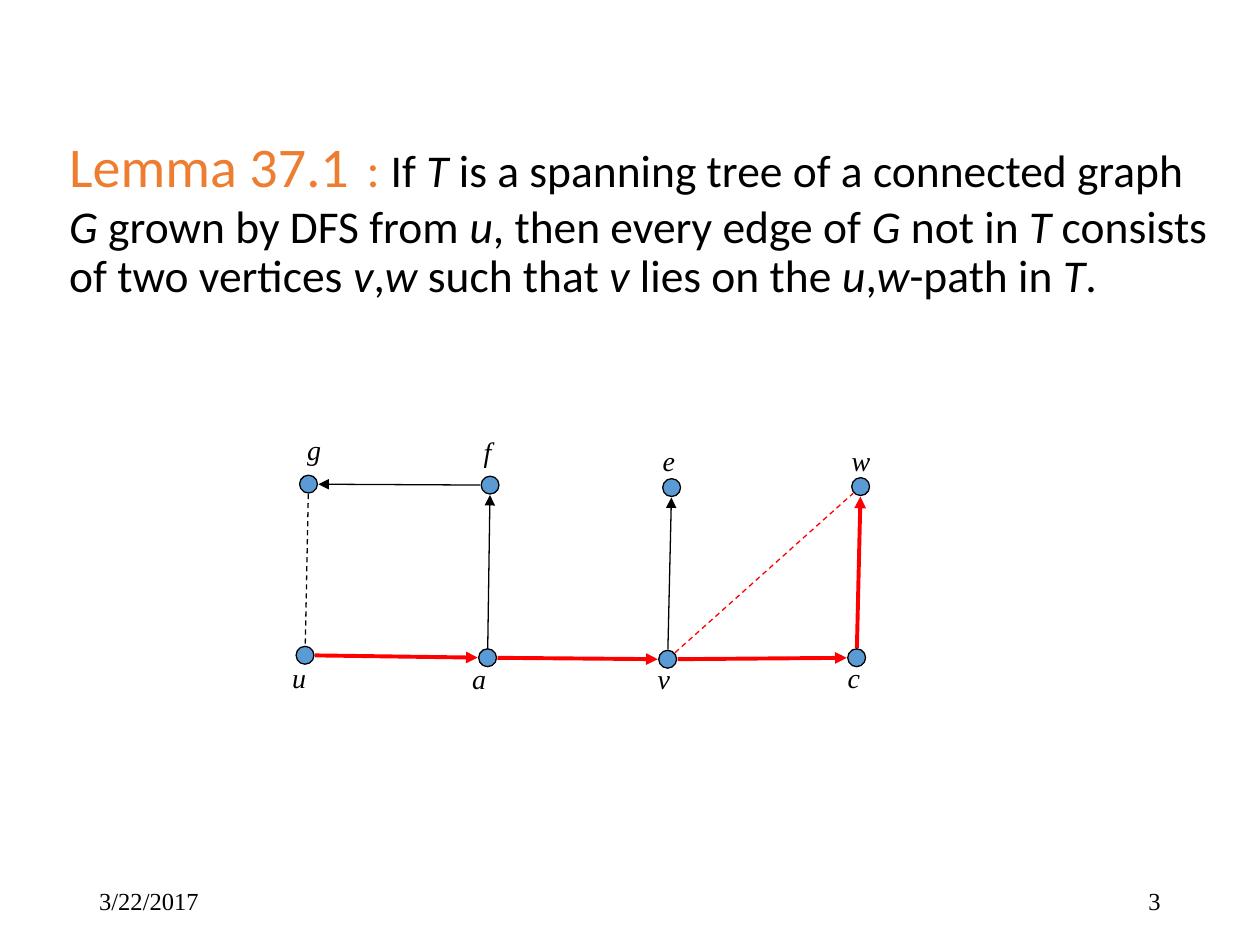
import math

import pptx
import pptx.dml.color
import pptx.enum.dml
import pptx.enum.shapes
import pptx.enum.text
import pptx.oxml
import pptx.oxml.ns
import pptx.util

Cm = pptx.util.Cm
Pt = pptx.util.Pt
ALIGN = pptx.enum.text.PP_ALIGN
ANCHOR = pptx.enum.text.MSO_ANCHOR

BLACK = pptx.dml.color.RGBColor(0x00, 0x00, 0x00)
RED = pptx.dml.color.RGBColor(0xFF, 0x00, 0x00)
BLUE = pptx.dml.color.RGBColor(0x5B, 0x9B, 0xD5)
ORANGE = pptx.dml.color.RGBColor(0xED, 0x7D, 0x31)

NODE_SIZE = 0.36
EDGE_GAP = 0.2
LABEL_WIDTH, LABEL_HEIGHT = 0.89, 0.94

LEMMA_HEADING = [("Lemma 37.1", 32), (" ", 44), (": ", 28)]
LEMMA_STATEMENT = [
    "If ", "T", " is a spanning tree of a connected graph ", "G",
    " grown by DFS from ", "u", ", then every edge of ", "G", " not in ", "T",
    " consists of two vertices ", "v", ",", "w", " such that ", "v",
    " lies on the ", "u", ",", "w", "-path in ", "T", ".",
]

VERTICES = {
    "u": ((0.51, 4.62), (0, 4.6)),
    "a": ((4.19, 4.67), (3.63, 4.62)),
    "v": ((7.82, 4.7), (7.37, 4.62)),
    "c": ((11.63, 4.67), (11.2, 4.6)),
    "g": ((0.58, 1.17), (0.3, 0)),
    "f": ((4.24, 1.19), (3.86, 0.05)),
    "e": ((7.9, 1.24), (7.47, 0.23)),
    "w": ((11.71, 1.22), (11.28, 0.23)),
}
TREE_EDGES = ["af", "fg", "ve"]
PATH_EDGES = ["ua", "av", "vc", "cw"]
NON_TREE_EDGES = [("gu", BLACK), ("vw", RED)]


def add_run(paragraph, words, font_name, size, color, italic=False):
    """Append one formatted run to a paragraph."""
    run = paragraph.add_run()
    run.text = words
    run.font.name = font_name
    run.font.size = Pt(size)
    run.font.color.rgb = color
    run.font.italic = italic


def add_text(slide, box, words, size, italic=False, align=ALIGN.LEFT, anchor=ANCHOR.TOP):
    """Add a one-line serif text box at a box given in centimetres."""
    frame = slide.shapes.add_textbox(*map(Cm, box)).text_frame
    frame.word_wrap = True
    frame.vertical_anchor = anchor
    frame.paragraphs[0].alignment = align
    add_run(frame.paragraphs[0], words, "Times New Roman", size, BLACK, italic)


def fill_lemma(title, box):
    """Place the title and write the lemma with its variables in italics."""
    title.left, title.top, title.width, title.height = map(Cm, box)
    frame = title.text_frame
    frame.word_wrap = True
    frame.auto_size = pptx.enum.text.MSO_AUTO_SIZE.NONE
    frame.vertical_anchor = ANCHOR.MIDDLE
    statement = frame.paragraphs[0]
    statement.alignment = ALIGN.LEFT
    statement.line_spacing = 0.9
    for words, size in LEMMA_HEADING:
        add_run(statement, words, "Calibri", size, ORANGE)
    for words in LEMMA_STATEMENT:
        add_run(statement, words, "Calibri", 26, BLACK, italic=words.isalpha())


def add_edge(slide, start, end, color, width, dashed=False):
    """Draw an edge between two vertex centres: an arrow, or a dashed line."""
    length = math.dist(start, end)
    dx, dy = ((b - a) / length * EDGE_GAP for a, b in zip(start, end))
    ends = (start[0] + dx, start[1] + dy, end[0] - dx, end[1] - dy)
    edge = slide.shapes.add_connector(
        pptx.enum.shapes.MSO_CONNECTOR.STRAIGHT, *map(Cm, ends))
    edge.line.color.rgb = color
    edge.line.width = Pt(width)
    if dashed:
        edge.line.dash_style = pptx.enum.dml.MSO_LINE.DASH
    else:
        arrowhead = pptx.oxml.parse_xml(
            f'<a:tailEnd {pptx.oxml.ns.nsdecls("a")} type="triangle"/>')
        edge.line._get_or_add_ln().append(arrowhead)
    edge._element.spPr.append(
        pptx.oxml.parse_xml(f'<a:effectLst {pptx.oxml.ns.nsdecls("a")}/>'))


def add_vertex(slide, center):
    """Draw a vertex as a small circle around its centre."""
    x, y = center
    vertex = slide.shapes.add_shape(
        pptx.enum.shapes.MSO_SHAPE.OVAL, Cm(x - NODE_SIZE / 2),
        Cm(y - NODE_SIZE / 2), Cm(NODE_SIZE), Cm(NODE_SIZE))
    vertex.shadow.inherit = False
    vertex.fill.solid()
    vertex.fill.fore_color.rgb = BLUE
    vertex.line.color.rgb = BLACK
    vertex.line.width = Pt(0.75)


def add_graph(slide, left, top):
    """Draw the DFS tree with its vertices, edges and labels."""
    centers = {name: (left + x, top + y) for name, ((x, y), _) in VERTICES.items()}
    for center in centers.values():
        add_vertex(slide, center)
    for start, end in TREE_EDGES:
        add_edge(slide, centers[start], centers[end], BLACK, 0.75)
    for start, end in PATH_EDGES:
        add_edge(slide, centers[start], centers[end], RED, 2.25)
    for (start, end), color in NON_TREE_EDGES:
        add_edge(slide, centers[start], centers[end], color, 0.75, dashed=True)
    for name, (_, (x, y)) in VERTICES.items():
        label_box = (left + x, top + y, LABEL_WIDTH, LABEL_HEIGHT)
        add_text(slide, label_box, name, 16, italic=True)


def add_footer(slide, left, top, width, height):
    """Put the date at the left and the slide number at the right."""
    part_width = 5.72
    add_text(slide, (left, top, part_width, height), "3/22/2017", 14,
             anchor=ANCHOR.MIDDLE)
    add_text(slide, (left + width - part_width, top, part_width, height), "3", 14,
             align=ALIGN.RIGHT, anchor=ANCHOR.MIDDLE)


def main():
    """Build the lemma slide and save it."""
    presentation = pptx.Presentation()
    presentation.slide_width = Cm(25.4)
    presentation.slide_height = Cm(19.05)
    slide = presentation.slides.add_slide(presentation.slide_layouts[5])
    fill_lemma(slide.shapes.title, (1.14, 1.47, 23.55, 5.59))
    add_graph(slide, 5.64, 8.59)
    add_footer(slide, 1.75, 17.65, 21.9, 1.02)
    presentation.save("out.pptx")


if __name__ == "__main__":
    main()
